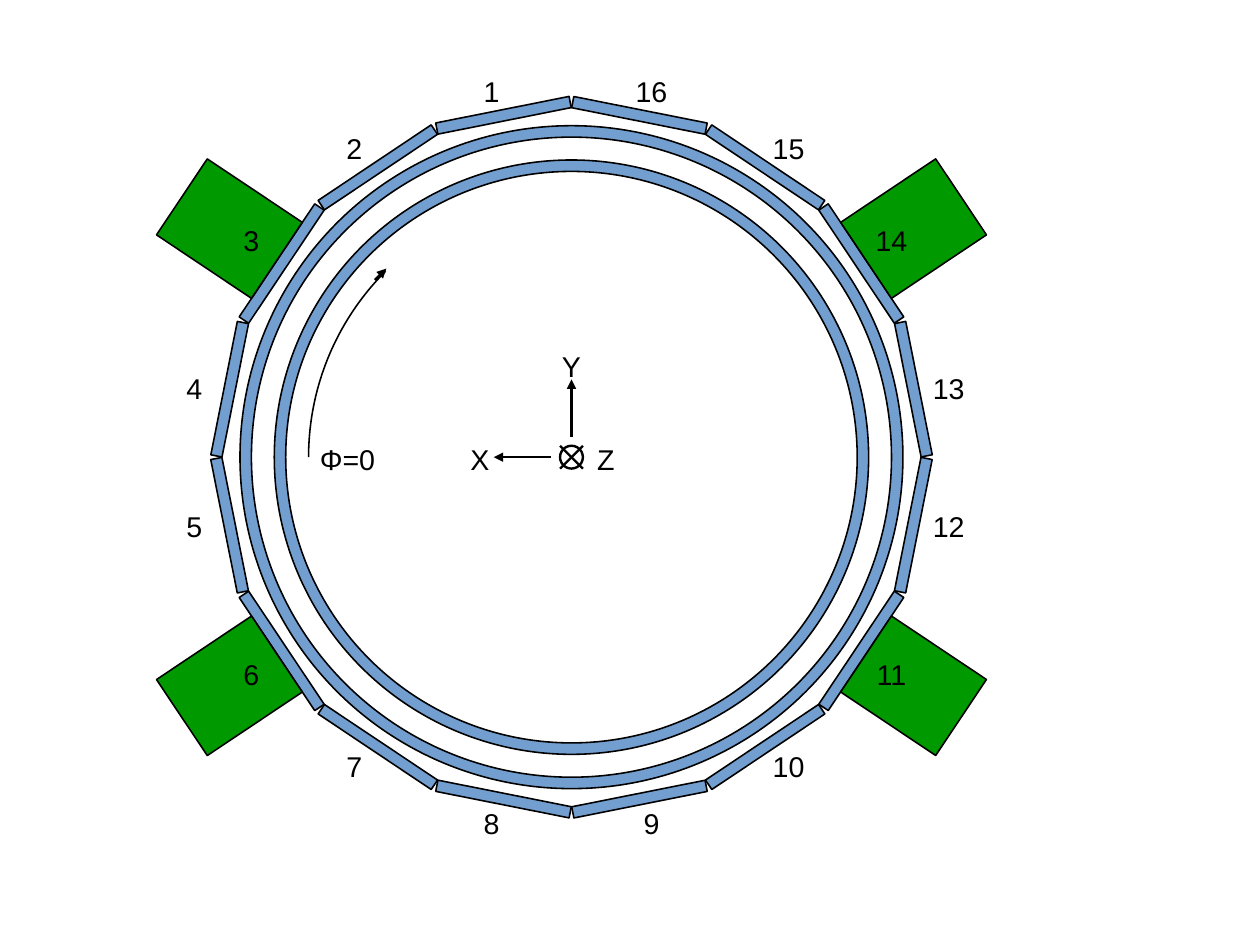
import math
from pptx import Presentation, util as u
from pptx.dml import color
from pptx.enum import shapes, text
from pptx.oxml import ns
from lxml import etree

PX = 9144
CENTER_X, CENTER_Y = 500, 400
BLUE, GREEN, WHITE, BLACK = "729FCF", "009900", "FFFFFF", "000000"

presentation = Presentation()
presentation.slide_width = u.Cm(28)
presentation.slide_height = u.Cm(21)
slide = presentation.slides.add_slide(presentation.slide_layouts[6])


def rgb(value):
    return color.RGBColor.from_string(value)


def add_centered(kind, x, y, width, height, fill=None, line=1):
    shape = slide.shapes.add_shape(
        kind, round((x - width / 2) * PX), round((y - height / 2) * PX), width * PX, height * PX)
    shape.shadow.inherit = False
    if fill:
        shape.fill.solid()
        shape.fill.fore_color.rgb = rgb(fill)
    else:
        shape.fill.background()
    shape.line.color.rgb = rgb(BLACK)
    shape.line.width = u.Pt(line)
    return shape


for index in range(16):
    angle = 11.25 + 22.5 * index
    x = CENTER_X + 305 * math.cos(math.radians(angle))
    y = CENTER_Y + 305 * math.sin(math.radians(angle))
    bar = add_centered(shapes.MSO_SHAPE.RECTANGLE, x, y, 10, 119, BLUE)
    bar.rotation = angle

for diameter, fill in [(580, BLUE), (560, WHITE), (520, BLUE), (500, WHITE)]:
    add_centered(shapes.MSO_SHAPE.OVAL, CENTER_X, CENTER_Y, diameter, diameter, fill)

for angle in [33.75, 146.25, 213.75, 326.25]:
    x = CENTER_X + 360 * math.cos(math.radians(angle))
    y = CENTER_Y + 360 * math.sin(math.radians(angle))
    block = add_centered(shapes.MSO_SHAPE.RECTANGLE, x, y, 100, 80, GREEN)
    block.rotation = angle

phi_arc = add_centered(shapes.MSO_SHAPE.ARC, CENTER_X, CENTER_Y, 460, 460)
phi_arc.adjustments[0] = 180 * 0.6
phi_arc.adjustments[1] = 225 * 0.6

add_centered(shapes.MSO_SHAPE.OVAL, CENTER_X, CENTER_Y, 20, 20, line=1.5)

for x1, y1, x2, y2, arrow in [
    (328, 245, 338, 235, True),
    (482, 400, 432, 400, True),
    (500, 382, 500, 332, True),
    (510, 410, 490, 390, False),
    (490, 410, 510, 390, False),
]:
    connector = slide.shapes.add_connector(
        shapes.MSO_CONNECTOR.STRAIGHT, x1 * PX, y1 * PX, x2 * PX, y2 * PX)
    connector.line.color.rgb = rgb(BLACK)
    connector.line.width = u.Pt(1.5)
    if arrow:
        etree.SubElement(connector.line._get_or_add_ln(), ns.qn("a:tailEnd"), type="triangle")
    etree.SubElement(connector._element.spPr, ns.qn("a:effectLst"))

labels = [
    ("Z", 510, 382, 40, 38),
    ("X", 400, 382, 40, 38),
    ("Y", 480, 300, 40, 38),
    ("Φ=0", 270, 382, 70, 38),
]
for number, (left, top) in enumerate([(400, 60), (280, 110), (190, 190), (140, 320)], 1):
    right = 2 * CENTER_X - left - 60
    bottom = 2 * CENTER_Y - top - 40
    labels += [
        (str(number), left, top, 60, 40),
        (str(9 - number), left, bottom, 60, 40),
        (str(8 + number), right, bottom, 60, 40),
        (str(17 - number), right, top, 60, 40),
    ]

for caption, left, top, width, height in labels:
    box = slide.shapes.add_textbox(left * PX, top * PX, width * PX, height * PX)
    box.text_frame.word_wrap = True
    paragraph = box.text_frame.paragraphs[0]
    paragraph.text = caption
    paragraph.alignment = text.PP_ALIGN.LEFT if caption == "Φ=0" else text.PP_ALIGN.CENTER
    paragraph.font.name = "Arial"
    paragraph.font.size = u.Pt(18)
    paragraph.font.color.rgb = rgb(BLACK)

presentation.save("out.pptx")
